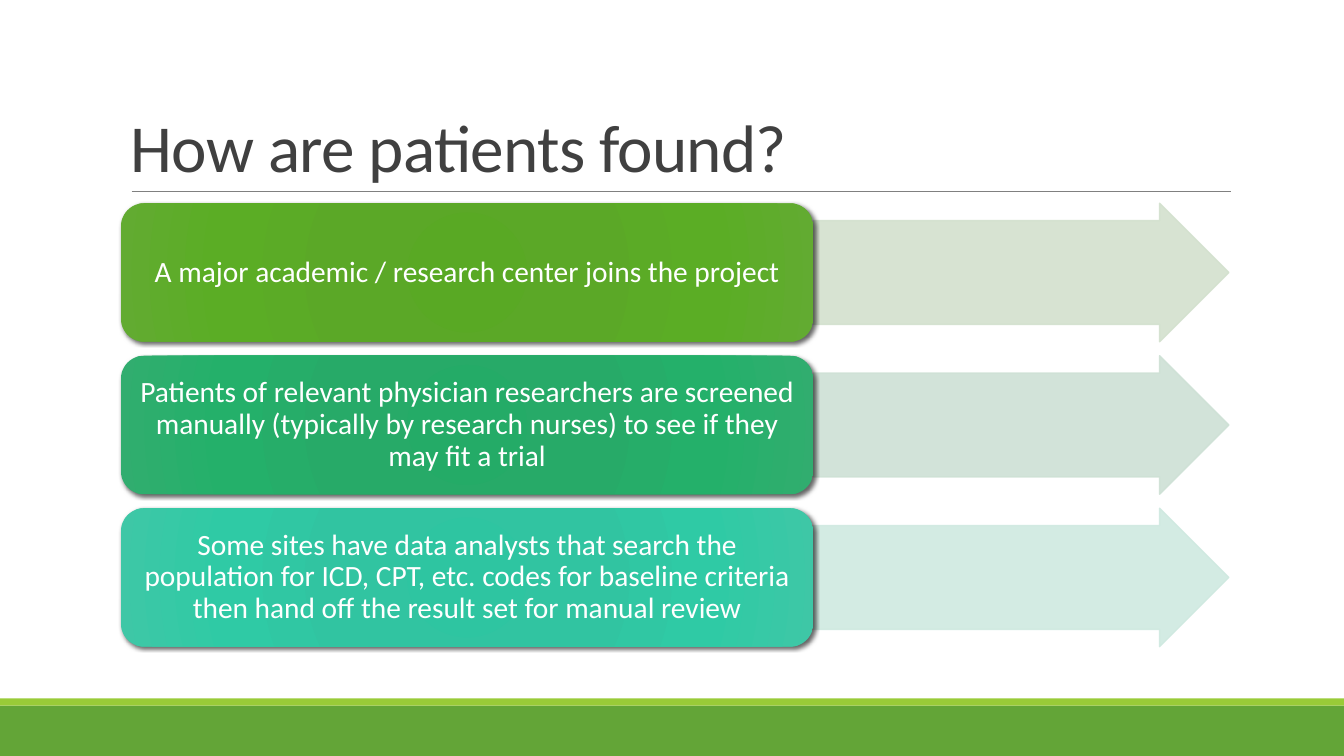
import dataclasses
import typing

import lxml.etree
import pptx
import pptx.dml.color
import pptx.enum.shapes
import pptx.enum.text
import pptx.oxml
import pptx.oxml.ns
import pptx.util

Pt = pptx.util.Pt
Kind = pptx.enum.shapes.MSO_SHAPE
Align = pptx.enum.text.PP_ALIGN
Anchor = pptx.enum.text.MSO_ANCHOR
qn = pptx.oxml.ns.qn

WIDE, HIGH = 960, 540
LEFT, TOP = 86.4, 145.2
BOX, ARROW, TALL, STEP = 494.6, 296.8, 98.9, 108.9
STOPS = (0, 34, 70, 100)


@dataclasses.dataclass
class Step:
    text: str
    tint: str
    shades: tuple[str, str, str, str]


STEPS = [
    Step("A major academic / research center joins the project",
         "D3E1CE", ("59A924", "5BA827", "5BAD25", "62AB31")),
    Step("Patients of relevant physician researchers are screened manually "
         "(typically by research nurses) to see if they may fit a trial",
         "CEE1D5", ("24AB67", "27AA68", "24B06A", "31AD6F")),
    Step("Some sites have data analysts that search the population for ICD, CPT, etc. "
         "codes for baseline criteria then hand off the result set for manual review",
         "CFE9E0", ("2EC5A1", "31C4A1", "2FCAA5", "3EC7A6")),
]


def color(code: str) -> pptx.dml.color.RGBColor:
    return pptx.dml.color.RGBColor.from_string(code)


def write(shape: typing.Any, text: str, *, size: float, ink: str, align: Align,
          anchor: Anchor, lead: float, pad: tuple[float, float], track: int = 0) -> None:
    frame = shape.text_frame
    frame.word_wrap = True
    frame.vertical_anchor = anchor
    frame.margin_left = frame.margin_right = Pt(pad[0])
    frame.margin_top = frame.margin_bottom = Pt(pad[1])
    para = frame.paragraphs[0]
    para.alignment = align
    para.line_spacing = lead
    run = para.add_run()
    run.text = text
    run.font.name = "Calibri"
    run.font.size = Pt(size)
    run.font.color.rgb = color(ink)
    if track:
        run._r.get_or_add_rPr().set("spc", str(track))


def block(slide: typing.Any, kind: Kind, left: float, top: float,
          width: float, height: float, fill: str) -> typing.Any:
    shape = slide.shapes.add_shape(kind, Pt(left), Pt(top), Pt(width), Pt(height))
    shape.shadow.inherit = False
    shape.fill.solid()
    shape.fill.fore_color.rgb = color(fill)
    shape.line.fill.background()
    return shape


def blend(shape: typing.Any, shades: tuple[str, ...]) -> None:
    stops = "".join(f'<a:gs pos="{pos * 1000}"><a:srgbClr val="{shade}"/></a:gs>'
                    for pos, shade in zip(STOPS, shades))
    props = shape._element.spPr
    props.replace(props.find(qn("a:solidFill")), pptx.oxml.parse_xml(
        f'<a:gradFill {pptx.oxml.ns.nsdecls("a")} rotWithShape="1"><a:gsLst>{stops}</a:gsLst>'
        '<a:path path="circle"><a:fillToRect l="100000" t="100000" r="100000" b="100000"/>'
        '</a:path></a:gradFill>'))


def shade(shape: typing.Any) -> None:
    effects = shape._element.spPr.find(qn("a:effectLst"))
    effects.append(pptx.oxml.parse_xml(
        f'<a:outerShdw {pptx.oxml.ns.nsdecls("a")} blurRad="{Pt(3)}" dist="{Pt(2)}" '
        'dir="2700000" rotWithShape="0"><a:srgbClr val="000000">'
        '<a:alpha val="60000"/></a:srgbClr></a:outerShdw>'))


def draw(slide: typing.Any, step: Step, top: float) -> None:
    arrow = block(slide, Kind.RIGHT_ARROW, LEFT + BOX, top, ARROW, TALL, step.tint)
    arrow.adjustments[0] = 0.75
    arrow.adjustments[1] = 0.5
    arrow.line.color.rgb = color(step.tint)
    arrow.line.width = Pt(1)
    for tone in arrow._element.spPr.iter(qn("a:srgbClr")):
        lxml.etree.SubElement(tone, qn("a:alpha")).set("val", "90000")
    box = block(slide, Kind.ROUNDED_RECTANGLE, LEFT, top, BOX, TALL, step.shades[0])
    blend(box, step.shades)
    shade(box)
    write(box, step.text, size=21, ink="FFFFFF", align=Align.CENTER,
          anchor=Anchor.MIDDLE, lead=0.9, pad=(6.3, 3.15))


def main() -> None:
    deck = pptx.Presentation()
    deck.slide_width, deck.slide_height = Pt(WIDE), Pt(HIGH)
    slide = deck.slides.add_slide(deck.slide_layouts[6])
    block(slide, Kind.RECTANGLE, 0, 504, WIDE, 36, "63A537")
    block(slide, Kind.RECTANGLE, 0, 498.8, WIDE, 5.2, "99CB38")

    rule = slide.shapes.add_connector(
        pptx.enum.shapes.MSO_CONNECTOR.STRAIGHT, Pt(94), Pt(136.8), Pt(879), Pt(136.8))
    rule.line.color.rgb = color("808080")
    rule.line.width = Pt(0.5)
    lxml.etree.SubElement(rule._element.spPr, qn("a:effectLst"))

    title = slide.shapes.add_textbox(Pt(LEFT), Pt(22.6), Pt(792), Pt(114.2))
    write(title, "How are patients found?", size=48, ink="404040", align=Align.LEFT,
          anchor=Anchor.BOTTOM, lead=0.85, pad=(7.2, 3.6), track=-50)

    for row, step in enumerate(STEPS):
        draw(slide, step, TOP + row * STEP)
    deck.save("out.pptx")


if __name__ == "__main__":
    main()
